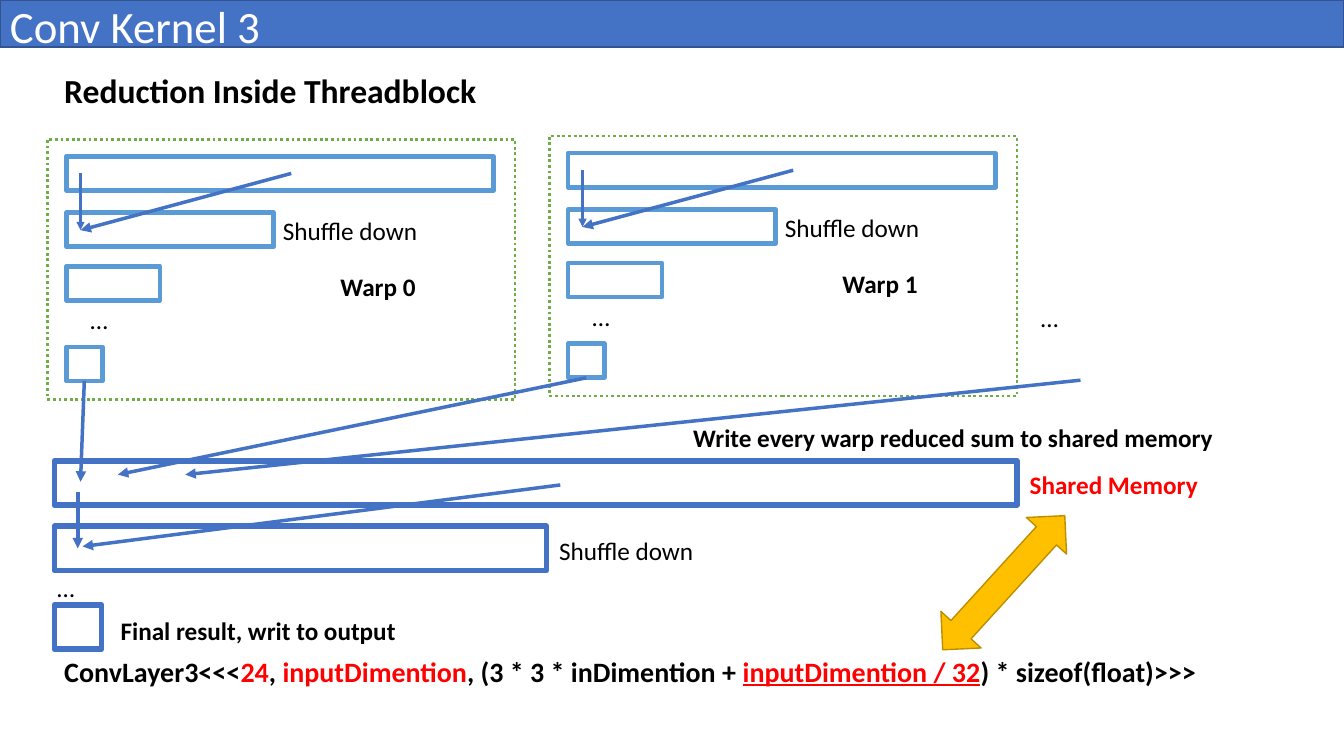
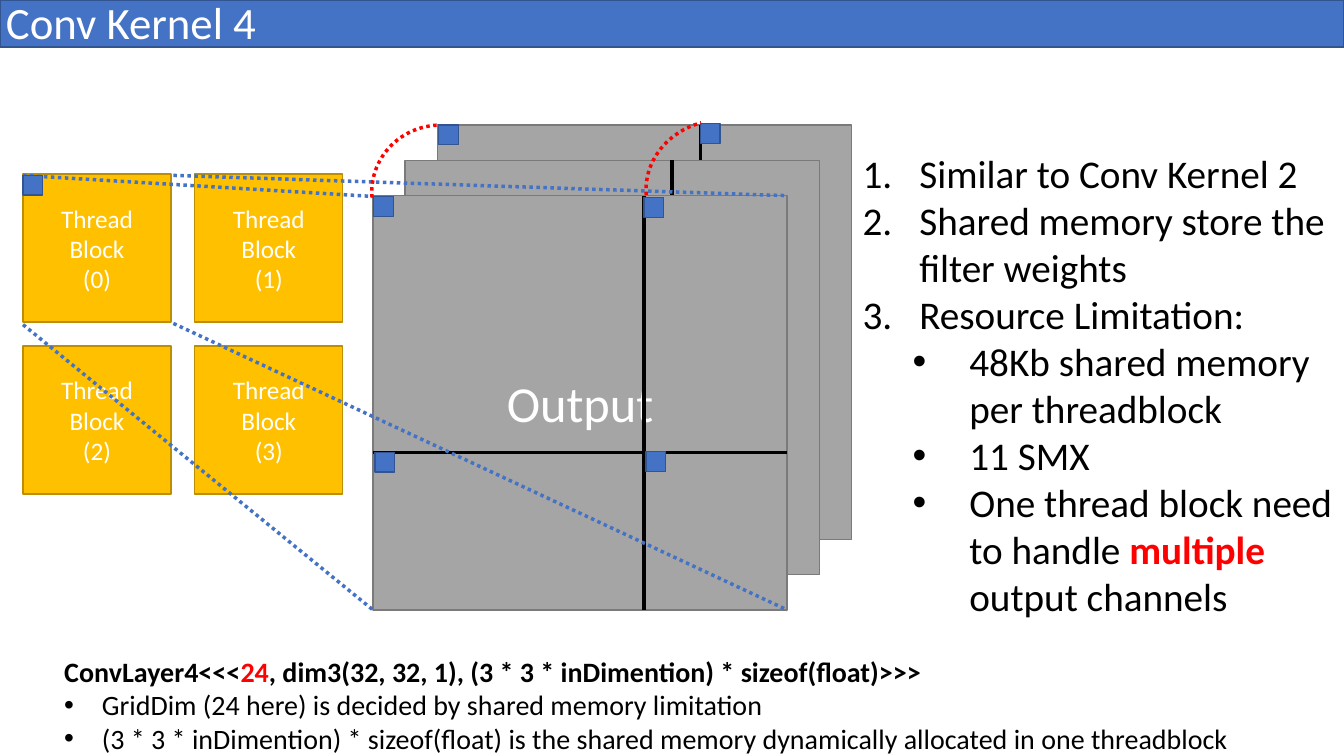
from pptx import Presentation
from pptx.dml.color import RGBColor
from pptx.enum import dml, shapes, text
from pptx.oxml.ns import qn
from pptx.util import Cm, Pt
from lxml import etree

FONT = "Calibri"
BLUE, SKY, GREEN, GOLD, GRAY = "4472C4", "5B9BD5", "70AD47", "FFC000", "A5A5A5"
NAVY, BRONZE, SLATE = "325491", "BD8E00", "7A7A7A"
BLACK, WHITE, RED = "000000", "FFFFFF", "FF0000"
RECT = shapes.MSO_SHAPE.RECTANGLE
SLIDE_W, SLIDE_H, BAND_H = 33.87, 19.05, 1.19
CODE_BOX = (1.37, 16.36, 32.4)

WARPS = [("Warp 0", 1.19, 3.51), ("Warp 1", 13.84, 3.43)]
WARP_SIZE = (11.79, 6.55)
WARP_BARS = [(0.43, 10.77), (1.85, 5.23), (3.2, 2.36), (5.23, 0.91)]
BAR_X, BAR_H = 0.48, 0.86
WARP_ARROWS = [((0.84, 0.86), (0.84, 2.29), 1.75), ((6.15, 0.86), (0.84, 2.29), 2.5)]

SHARED_X, SHARED_H = 1.37, 1.12
SHARED_BARS = [(11.61, 24.26), (13.26, 12.4), (15.24, 1.19)]
SUM_TARGETS = [(2.03, 12.14), (2.97, 11.96)]
SHARED_ARROWS = [
    ((27.23, 9.58), (4.67, 11.96)),
    ((1.96, 12.4), (1.96, 13.82)),
    ((14.12, 12.22), (2.08, 13.77)),
]
LABELS = [
    (25.98, 7.49, 2.5, "…", ""),
    (1.19, 14.3, 2.5, "…", ""),
    (25.7, 11.71, 5.36, "Shared Memory", "br"),
    (13.84, 13.36, 3.99, "Shuffle down", ""),
    (17.22, 10.52, 15.14, "Write every warp reduced sum to shared memory", "b"),
    (2.79, 15.37, 15.14, "Final result, writ to output", "b"),
]
LAUNCH_3 = [("ConvLayer3<<<", "b"), ("24", "br"), (", ", "b"), ("inputDimention", "br"),
            (", (3 * 3 * inDimention + ", "b"), ("inputDimention / 32", "bru"),
            (") * sizeof(float)>>>", "b")]
LAUNCH_4 = [("ConvLayer4<<<", "b"), ("24", "br"),
            (", dim3(32, 32, 1), (3 * 3 * inDimention) * sizeof(float)>>>", "b")]
LAUNCH_NOTES = [
    "GridDim (24 here) is decided by shared memory limitation",
    "(3 * 3 * inDimention) * sizeof(float) is the shared memory dynamically allocated in one threadblock",
]
POINTS = ["Similar to Conv Kernel 2", "Shared memory store the filter weights",
          "Resource Limitation:"]
LIMITS = [
    [("48Kb shared memory per threadblock", "")],
    [("11 SMX", "")],
    [("One thread block need to handle ", ""), ("multiple ", "br"), ("output channels", "")],
]

SHEET = 10.44
SHEETS = [(11.02, 3.15, 17.65, ""), (10.21, 4.04, 16.94, ""), (9.4, 4.93, 16.23, "Output")]
SPLIT_Y = 11.4
BLOCK, BLOCK_STEP, BLOCK_X, BLOCK_Y = 3.73, 4.33, 0.58, 4.39
PROJECTIONS = [
    ((4.37, 4.42), (19.84, 4.93)),
    ((0.58, 4.42), (9.4, 4.95)),
    ((0.58, 8.18), (9.4, 15.37)),
    ((4.37, 8.15), (19.84, 15.37)),
]
MARKER = 0.5
MARKERS = [(0.58, 4.42), (9.42, 4.95), (16.23, 4.98), (16.28, 11.38),
           (9.45, 11.4), (11.05, 3.15), (17.65, 3.12)]
ARCS = [(9.42, 3.1, 3.35, 3.45, 1.77), (16.46, 2.84, 3.45, 3.81, 208.67)]


def rgb(value):
    return RGBColor.from_string(value)


def style_line(line, color, width, dotted=False):
    line.color.rgb = rgb(color)
    line.width = Pt(width)
    if dotted:
        line.dash_style = dml.MSO_LINE.ROUND_DOT


def add_runs(p, runs, size, color=BLACK):
    for words, flags in runs:
        r = p.add_run()
        r.text = words
        r.font.name, r.font.size = FONT, Pt(size)
        r.font.bold = "b" in flags
        r.font.underline = "u" in flags
        r.font.color.rgb = rgb(RED if "r" in flags else color)


def add_paragraphs(tf, paragraphs, size, color=BLACK):
    tf.word_wrap = True
    for i, runs in enumerate(paragraphs):
        p = tf.add_paragraph() if i else tf.paragraphs[0]
        add_runs(p, runs, size, color)
    return tf.paragraphs


def add_text(s, x, y, w, h, paragraphs, size, color=BLACK):
    sp = s.shapes.add_textbox(Cm(x), Cm(y), Cm(w), Cm(h))
    return add_paragraphs(sp.text_frame, paragraphs, size, color)


def add_label(s, x, y, w, words, flags=""):
    add_text(s, x, y, w, 1.02, [[(words, flags)]], 18)


def add_bullet(p, left, hang, number=False):
    pPr = p._p.get_or_add_pPr()
    pPr.set("marL", str(Cm(left)))
    pPr.set("indent", str(-Cm(hang)))
    if number:
        etree.SubElement(pPr, qn("a:buAutoNum"), type="arabicPeriod")
    else:
        etree.SubElement(pPr, qn("a:buFont"), typeface="Arial")
        etree.SubElement(pPr, qn("a:buChar"), char="•")


def add_shape(s, x, y, w, h, fill, color, width=1, kind=RECT, dotted=False):
    sp = s.shapes.add_shape(kind, Cm(x), Cm(y), Cm(w), Cm(h))
    sp.shadow.inherit = False
    if fill:
        sp.fill.solid()
        sp.fill.fore_color.rgb = rgb(fill)
    else:
        sp.fill.background()
    style_line(sp.line, color, width, dotted)
    return sp


def center_text(sp, lines, size):
    sp.text_frame.vertical_anchor = text.MSO_ANCHOR.MIDDLE
    for p in add_paragraphs(sp.text_frame, [[(t, "")] for t in lines], size, WHITE):
        p.alignment = text.PP_ALIGN.CENTER


def add_line(s, start, end, color=BLUE, width=2.5, dotted=False, arrow=False):
    points = [Cm(v) for v in (*start, *end)]
    c = s.shapes.add_connector(shapes.MSO_CONNECTOR.STRAIGHT, *points)
    style_line(c.line, color, width, dotted)
    if arrow:
        etree.SubElement(c.line._get_or_add_ln(), qn("a:tailEnd"), type="triangle")
    etree.SubElement(c._element.spPr, qn("a:effectLst"))
    return c


def add_band(s, title, x, y):
    add_shape(s, 0, 0, SLIDE_W, BAND_H, BLUE, NAVY)
    add_text(s, x, y, 10.21, 1.63, [[(title, "")]], 32, WHITE)


def add_warp(s, name, x, y):
    for dy, w in WARP_BARS:
        bar = add_shape(s, x + BAR_X, y + dy, w, BAR_H, WHITE, SKY, 3.25)
    for (x1, y1), (x2, y2), width in WARP_ARROWS:
        add_line(s, (x + x1, y + y1), (x + x2, y + y2), width=width, arrow=True)
    add_shape(s, x, y, *WARP_SIZE, None, GREEN, 2, dotted=True)
    add_label(s, x + 0.84, y + 4.04, 1.2, "…")
    add_label(s, x + 7.14, y + 3.2, 3.15, name, "b")
    add_label(s, x + 5.69, y + 1.8, 3.99, "Shuffle down")
    return bar


def build_reduction(s):
    add_band(s, "Conv Kernel 3", 0, -0.15)
    add_text(s, 1.37, 1.63, 12.85, 1.27, [[("Reduction Inside Threadblock", "b")]], 24)
    sums = [add_warp(s, *warp) for warp in WARPS]
    for y, w in SHARED_BARS:
        add_shape(s, SHARED_X, y, w, SHARED_H, WHITE, BLUE, 4)
    for bar, target in zip(sums, SUM_TARGETS):
        add_line(s, (0, 0), target, arrow=True).begin_connect(bar, 2)
    for start, end in SHARED_ARROWS:
        add_line(s, start, end, arrow=True)
    link = add_shape(s, 24.61, 12.4, 1.37, 4.57, GOLD, BRONZE,
                     kind=shapes.MSO_SHAPE.UP_DOWN_ARROW)
    link.adjustments[0], link.adjustments[1] = 0.38, 0.5
    link.rotation = 42.3
    for label in LABELS:
        add_label(s, *label)
    add_text(s, *CODE_BOX, 1.12, [LAUNCH_3], 20)


def build_output(s):
    add_band(s, "Conv Kernel 4", -0.1, -0.25)
    for i in range(4):
        row, col = divmod(i, 2)
        sp = add_shape(s, BLOCK_X + col * BLOCK_STEP, BLOCK_Y + row * BLOCK_STEP,
                       BLOCK, BLOCK, GOLD, BRONZE)
        center_text(sp, ["Thread Block", f"({i})"], 18)
    for x, y, split_x, name in SHEETS:
        sp = add_shape(s, x, y, SHEET, SHEET, GRAY, SLATE)
        if name:
            center_text(sp, [name], 36)
        add_line(s, (split_x, y), (split_x, y + SHEET), BLACK)
    add_line(s, (x, SPLIT_Y), (x + SHEET, SPLIT_Y), BLACK)
    for start, end in PROJECTIONS:
        add_line(s, start, end, dotted=True)
    for x, y in MARKERS:
        add_shape(s, x, y, MARKER, MARKER, BLUE, NAVY)
    for x, y, w, h, sweep_end in ARCS:
        arc = add_shape(s, x, y, w, h, None, RED, 2.5, shapes.MSO_SHAPE.ARC, True)
        arc.adjustments[0], arc.adjustments[1] = 162, sweep_end
        arc.rotation = 264.9

    points = [[(t, "")] for t in POINTS]
    for i, p in enumerate(add_text(s, 21.49, 3.63, 12.42, 12.22, points + LIMITS, 28)):
        number = i < len(POINTS)
        p.level = 0 if number else 1
        add_bullet(p, 1.43 if number else 2.69, 1.43, number)
    notes = [[(t, "")] for t in LAUNCH_NOTES]
    for p in add_text(s, *CODE_BOX, 2.6, [LAUNCH_4] + notes, 20)[1:]:
        add_bullet(p, 0.95, 0.95)


def main():
    prs = Presentation()
    prs.slide_width, prs.slide_height = Cm(SLIDE_W), Cm(SLIDE_H)
    for build in (build_reduction, build_output):
        build(prs.slides.add_slide(prs.slide_layouts[6]))
    prs.save("out.pptx")


if __name__ == "__main__":
    main()
